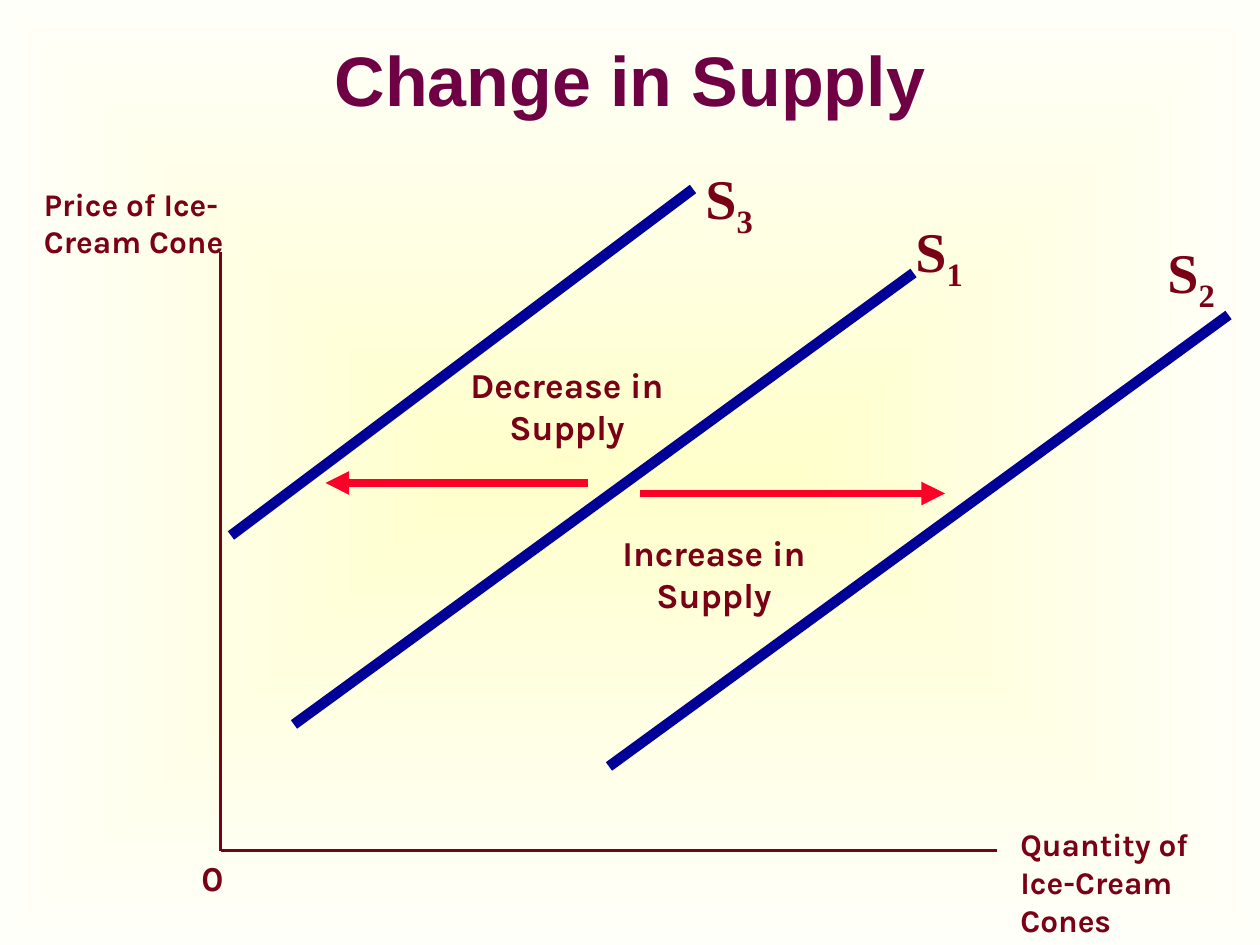
from pptx import Presentation
from pptx.dml.color import RGBColor
from pptx.enum.shapes import MSO_CONNECTOR
from pptx.enum.text import MSO_ANCHOR, MSO_AUTO_SIZE, PP_ALIGN
from pptx.oxml import parse_xml
from pptx.oxml.ns import nsdecls, qn
from pptx.util import Cm, Pt
from lxml.etree import SubElement

COLORS = {
    "title": "6E0043",
    "ink": "790015",
    "curve": "000099",
    "arrow": "FC0128",
    "center": "FFFFCC",
    "edge": "FFFFFA",
}

# Content; all places are in grid steps of a twelfth of an inch
TITLE = ("Change in Supply", (9, 0, 102, 15))
ORIGIN, PRICE_TOP, QUANTITY_END = (21, 81), 24, 95
AXIS_LABELS = [  # text, box, size
    ("Price of Ice-Cream Cone", (3, 17, 20, 12), 18),
    ("Quantity of Ice-Cream Cones", (96, 78, 20, 12), 18),
    ("0", (18, 81, 6, 5.25), 20),
]
CURVES = [  # subscript, start, end, label corner
    ("1", (28, 69), (87, 26), (86, 20)),
    ("2", (58, 73), (117, 30), (110, 22)),
    ("3", (22, 51), (66, 18), (66, 15)),
]
SHIFTS = [  # text, text corner, arrow start, arrow end
    ("Increase in Supply", (57, 50), (61, 47), (90, 47)),
    ("Decrease in Supply", (43, 34), (56, 46), (31, 46)),
]
CURVE_LABEL_SIZE = (8, 8.5)
SHIFT_LABEL_SIZE = (22, 9.25)


def grid(steps):
    return Cm(2.54 * steps / 12)


def add_text(slide, text, box, size, font="Karla", color="ink", subscript="",
             align=PP_ALIGN.LEFT, anchor=MSO_ANCHOR.TOP, grow=True):
    shape = slide.shapes.add_textbox(*map(grid, box))
    frame = shape.text_frame
    frame.word_wrap = True
    frame.vertical_anchor = anchor
    frame.auto_size = MSO_AUTO_SIZE.SHAPE_TO_FIT_TEXT if grow else MSO_AUTO_SIZE.NONE
    paragraph = frame.paragraphs[0]
    paragraph.alignment = align
    for part, baseline in ((text, 0), (subscript, -25000)):
        if not part:
            continue
        run = paragraph.add_run()
        run.text = part
        run.font.name = font
        run.font.size = Pt(size)
        run.font.bold = True
        run.font.color.rgb = RGBColor.from_string(COLORS[color])
        if baseline:
            run.font._element.set("baseline", str(baseline))


def add_line(slide, start, end, color, width, arrow=False):
    connector = slide.shapes.add_connector(
        MSO_CONNECTOR.STRAIGHT, *map(grid, start + end))
    connector.line.color.rgb = RGBColor.from_string(COLORS[color])
    connector.line.width = Pt(width)
    if arrow:
        SubElement(connector.line._get_or_add_ln(), qn("a:tailEnd"), type="triangle")
    SubElement(connector._element.spPr, qn("a:effectLst"))


def set_background(slide):
    fill = slide.background.fill
    fill.gradient()
    for stop, name in zip(fill.gradient_stops, ("center", "edge")):
        stop.color.rgb = RGBColor.from_string(COLORS[name])
    # Spread the gradient as rectangles from the middle
    linear = next(slide._element.iter(qn("a:lin")))
    linear.getparent().replace(linear, parse_xml(
        f'<a:path {nsdecls("a")} path="rect">'
        '<a:fillToRect l="50000" t="50000" r="50000" b="50000"/></a:path>'))


def main():
    presentation = Presentation()
    presentation.slide_width, presentation.slide_height = grid(120), grid(90)
    slide = presentation.slides.add_slide(presentation.slide_layouts[6])
    set_background(slide)

    # Title
    text, box = TITLE
    add_text(slide, text, box, 40, font="Arial", color="title",
             align=PP_ALIGN.CENTER, anchor=MSO_ANCHOR.MIDDLE, grow=False)

    # Axes
    add_line(slide, (ORIGIN[0], PRICE_TOP), ORIGIN, "ink", 2.25)
    add_line(slide, ORIGIN, (QUANTITY_END, ORIGIN[1]), "ink", 2.25)
    for text, box, size in AXIS_LABELS:
        add_text(slide, text, box, size)

    # Supply curves
    for subscript, start, end, corner in CURVES:
        add_line(slide, start, end, "curve", 6)
        add_text(slide, "S", corner + CURVE_LABEL_SIZE, 32,
                 font="Times New Roman", subscript=subscript)

    # Shifts of the curve
    for text, corner, start, end in SHIFTS:
        add_text(slide, text, corner + SHIFT_LABEL_SIZE, 20, align=PP_ALIGN.CENTER)
        add_line(slide, start, end, "arrow", 4.5, arrow=True)

    presentation.save("out.pptx")


if __name__ == "__main__":
    main()
